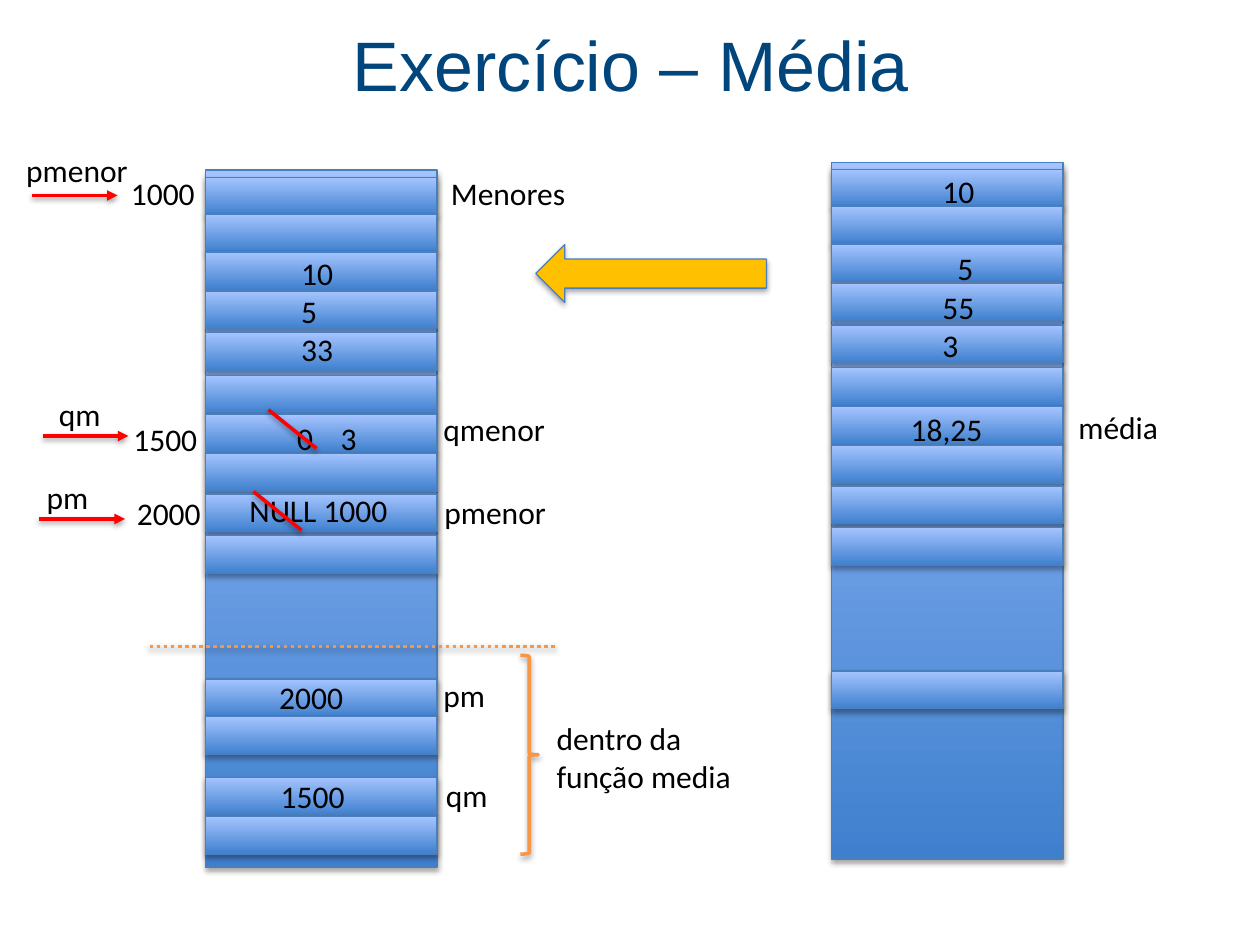
from pptx import Presentation
from pptx.dml.color import RGBColor
from pptx.enum.dml import MSO_LINE
from pptx.enum.shapes import MSO_CONNECTOR, MSO_SHAPE
from pptx.enum.text import MSO_ANCHOR, PP_ALIGN
from pptx.oxml.ns import qn
from pptx.util import Cm, Pt
from lxml import etree

NAVY = RGBColor(0x00, 0x45, 0x7C)
DARK = RGBColor(0x3F, 0x80, 0xCE)
LIGHT = RGBColor(0xA4, 0xC4, 0xFF)
EDGE = RGBColor(0x4B, 0x7E, 0xBC)
GOLD = RGBColor(0xFF, 0xC0, 0x00)
RED = RGBColor(0xFF, 0x00, 0x00)
ORANGE = RGBColor(0xF7, 0x96, 0x46)
BLACK = RGBColor(0x00, 0x00, 0x00)
RECT = MSO_SHAPE.RECTANGLE
ARROW = MSO_SHAPE.RIGHT_ARROW
BRACE = MSO_SHAPE.RIGHT_BRACE
STRAIGHT = MSO_CONNECTOR.STRAIGHT
DOTS = MSO_LINE.ROUND_DOT
MIDDLE = MSO_ANCHOR.MIDDLE
CENTER = PP_ALIGN.CENTER

WIDE, TALL, CELL = 4.67, 14.05, 0.76


def add_block(shapes, left, top, height):
    """Add one memory block with the blue gradient and the theme's shadow."""
    block = shapes.add_shape(RECT, Cm(left), Cm(top), Cm(WIDE), Cm(height))
    block.fill.gradient()
    block.fill.gradient_angle = 90
    for stop, color, place in zip(block.fill.gradient_stops, (DARK, LIGHT), (0, 1)):
        stop.color.rgb = color
        stop.position = place
    block.line.color.rgb = EDGE
    block.line.width = Pt(0.75)


def add_line(x1, y1, x2, y2, color):
    line = slide.shapes.add_connector(STRAIGHT, Cm(x1), Cm(y1), Cm(x2), Cm(y2))
    line.line.color.rgb = color
    line.line.width = Pt(2)
    return line


deck = Presentation()
deck.slide_width, deck.slide_height = Cm(25.4), Cm(19.05)
slide = deck.slides.add_slide(deck.slide_layouts[5])

title = slide.shapes.title
title.left, title.top, title.width, title.height = Cm(0.89), Cm(0.08), Cm(23.65), Cm(2.41)
title.text_frame.text = "Exercício – Média"
title.text_frame.vertical_anchor = MIDDLE
head = title.text_frame.paragraphs[0]
head.alignment = CENTER
head.font.size = Pt(40)
head.font.name = "Arial"
head.font.color.rgb = NAVY

# Two memory columns with the same cells; the left one has three more
cells = [3.58, 4.32, 5.08, 5.87, 6.71, 7.57, 8.36, 9.14, 9.96, 10.8, 13.69]
for left, shift, extra in ((16.76, -0.16, []), (4.14, 0, [14.45, 15.67, 16.46])):
    group = slide.shapes.add_group_shape()
    add_block(group.shapes, left, 3.43 + shift, TALL)
    for top in cells + extra:
        add_block(group.shapes, left, top + shift, CELL)

arrow = slide.shapes.add_shape(ARROW, Cm(10.8), Cm(4.93), Cm(4.65), Cm(1.17))
arrow.rotation = 180
arrow.fill.solid()
arrow.fill.fore_color.rgb = GOLD
arrow.line.color.rgb = EDGE
arrow.line.width = Pt(0.75)

# Text, left, top, width
labels = [
    ("pmenor", 0.28, 2.91, 2.97),
    ("1000", 2.39, 3.38, 2.24),
    ("qm", 0.94, 7.84, 2.97),
    ("1500", 2.44, 8.34, 2.97),
    ("pm", 0.69, 9.51, 2.97),
    ("2000", 2.51, 9.84, 2.97),
    ("10\n5\n33", 5.82, 5, 1.35),
    ("0", 5.74, 8.32, 0.88),
    ("3", 6.62, 8.32, 0.88),
    ("NULL 1000", 4.78, 9.77, 3.81),
    ("2000", 5.38, 13.55, 2.97),
    ("1500", 5.41, 15.53, 2.97),
    ("Menores", 8.84, 3.38, 2.97),
    ("qmenor", 8.69, 8.14, 2.97),
    ("pmenor", 8.71, 9.82, 2.97),
    ("pm", 8.69, 13.5, 2.97),
    ("qm", 8.74, 15.51, 2.97),
    ("dentro da função media", 10.97, 14.38, 4.67),
    ("10", 18.75, 3.35, 1.35),
    ("5", 19.05, 4.9, 1.35),
    ("55\n3", 18.75, 5.69, 1.35),
    ("18,25", 18.11, 8.15, 2.64),
    ("média", 21.49, 8.1, 2.64),
]
for text, left, top, width in labels:
    rows = 2 if width == WIDE else text.count("\n") + 1
    box = slide.shapes.add_textbox(Cm(left), Cm(top), Cm(width), Cm(0.25 + 0.77 * rows))
    box.text_frame.word_wrap = True
    box.text_frame.text = text
    for para in box.text_frame.paragraphs:
        para.font.size = Pt(18)
        para.font.name = "Calibri"
        para.font.color.rgb = BLACK

# Strokes through the old values
for left, top in ((5.11, 9.91), (5.41, 8.26)):
    add_line(left, top, left + 0.97, top + 0.78, RED)

# Pointers
for left, top in ((0.64, 3.94), (0.86, 8.79), (0.79, 10.46)):
    line = add_line(left, top, left + 1.73, top, RED)
    etree.SubElement(line.line._get_or_add_ln(), qn("a:tailEnd"), type="triangle")

# Scope of the function
add_line(3.02, 13.03, 11.2, 13.03, ORANGE).line.dash_style = DOTS
brace = slide.shapes.add_shape(BRACE, Cm(10.49), Cm(13.21), Cm(0.36), Cm(4.01))
brace.fill.background()
brace.line.color.rgb = ORANGE
brace.line.width = Pt(2)

deck.save("out.pptx")
